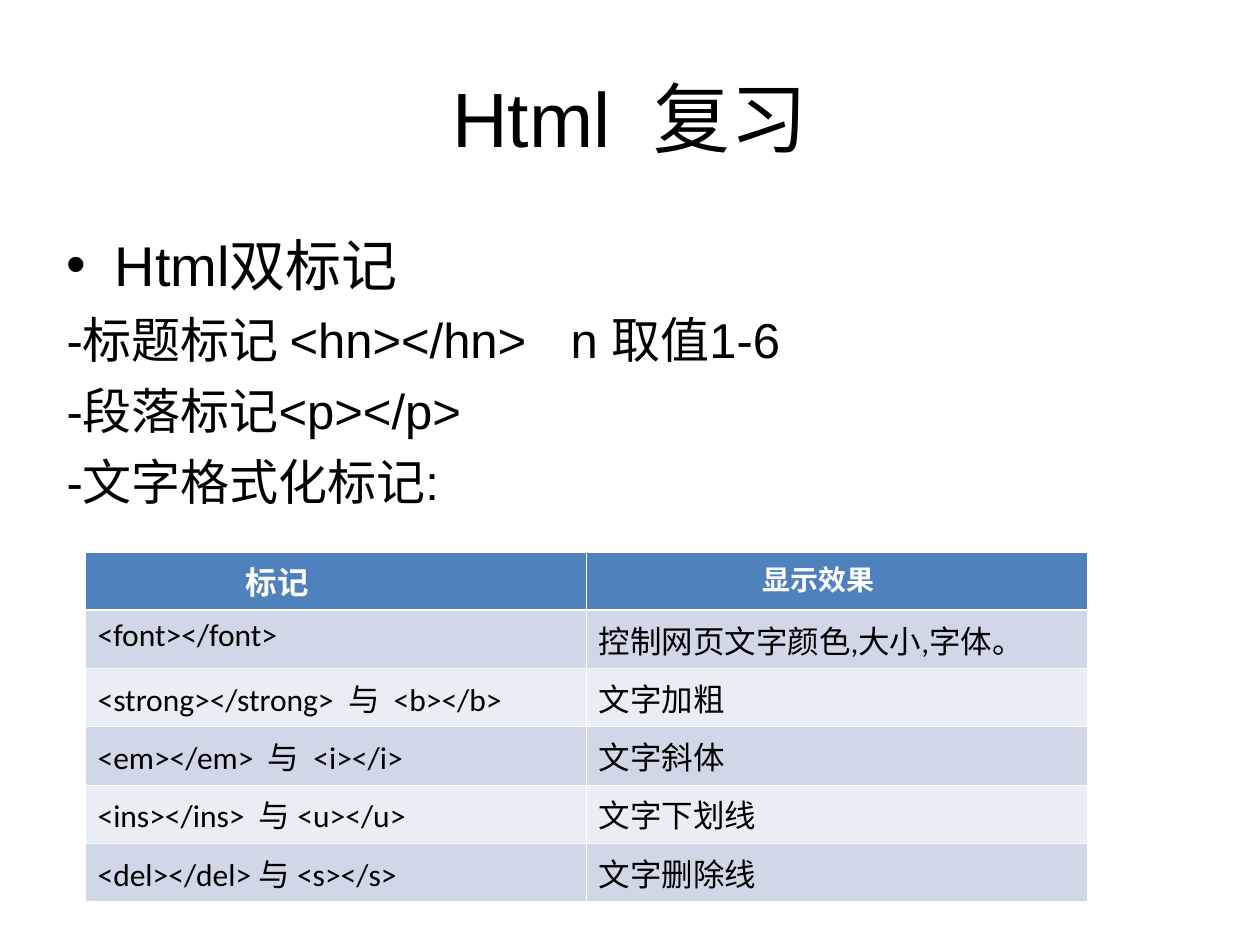
"""Build the HTML review slide with a list of tags and a table of their effects."""
from dataclasses import dataclass

from lxml import etree
from pptx import Presentation
from pptx.dml.color import RGBColor
from pptx.enum.text import MSO_ANCHOR, MSO_AUTO_SIZE, PP_ALIGN
from pptx.oxml.ns import qn
from pptx.util import Emu, Pt

MIDDLE, TOP = MSO_ANCHOR.MIDDLE, MSO_ANCHOR.TOP
CENTER, LEFT = PP_ALIGN.CENTER, PP_ALIGN.LEFT
NO_AUTOFIT = MSO_AUTO_SIZE.NONE
EMU_PER_PIXEL = 914400 / 126
COLORS = {
    "text": "000000",
    "paper": "FFFFFF",
    "header": "4F81BD",
    "odd_row": "D0D8E8",
    "even_row": "E9EDF4",
}
THIN, THICK = 0.45, 1.47


@dataclass(frozen=True)
class ListLine:
    text: str
    size: int
    before: int
    hanging: int = 0
    tab_stop: int = 0


@dataclass(frozen=True)
class Heading:
    text: str
    size: int
    margin: int


LINES = [
    ListLine("Html双标记", 32, 8, hanging=48),
    ListLine("-标题标记 <hn></hn>\tn 取值1-6", 28, 7, tab_stop=538),
    ListLine("-段落标记<p></p>", 28, 7),
    ListLine("-文字格式化标记:", 28, 7),
]
HEADINGS = [Heading("标记", 18, 161), Heading("显示效果", 16, 177)]
EFFECTS = [
    ("<font></font>", "控制网页文字颜色,大小,字体。".replace(",", ",")),
    ("<strong></strong>  与  <b></b>", "文字加粗"),
    ("<em></em>  与  <i></i>", "文字斜体"),
    ("<ins></ins>  与 <u></u>", "文字下划线"),
    ("<del></del> 与 <s></s>", "文字删除线"),
]


def px(pixels: float) -> Emu:
    """Convert pixels to EMU."""
    return Emu(round(pixels * EMU_PER_PIXEL))


def place(part, left: int, top: int, width: int, height: int) -> None:
    """Set the position and size of a slide part."""
    part.left, part.top = px(left), px(top)
    part.width, part.height = px(width), px(height)


def style_runs(paragraph, font: str, size: int, color: str, bold: bool = False) -> None:
    """Format every run of a paragraph."""
    for run in paragraph.runs:
        run.font.name, run.font.size, run.font.bold = font, Pt(size), bold
        run.font.color.rgb = RGBColor.from_string(COLORS[color])


def format_line(paragraph, line: ListLine) -> None:
    """Format one list line with its indent, bullet and tab stop."""
    paragraph.alignment = LEFT
    paragraph.space_before = Pt(line.before)
    style_runs(paragraph, "Arial", line.size, "text")
    properties = paragraph._p.get_or_add_pPr()
    properties.set("marL", str(px(line.hanging)))
    properties.set("indent", str(px(-line.hanging)))
    if line.hanging:
        etree.SubElement(properties, qn("a:buChar"), char="•")
    else:
        etree.SubElement(properties, qn("a:buNone"))
    if line.tab_stop:
        stops = etree.SubElement(properties, qn("a:tabLst"))
        etree.SubElement(stops, qn("a:tab"), pos=str(px(line.tab_stop)), algn="l")


def add_borders(cell, top: float, bottom: float) -> None:
    """Give a cell white borders."""
    properties = cell._tc.get_or_add_tcPr()
    widths = {"lnL": THIN, "lnR": THIN, "lnT": top, "lnB": bottom}
    for position, (side, width) in enumerate(widths.items()):
        border = etree.Element(qn(f"a:{side}"), w=str(Pt(width)))
        fill = etree.SubElement(border, qn("a:solidFill"))
        etree.SubElement(fill, qn("a:srgbClr"), val=COLORS["paper"])
        properties.insert(position, border)


def fill_cell(cell, text: str, fill: str, size: int, header: bool = False) -> None:
    """Write and format one table cell."""
    cell.text_frame.text = text
    style_runs(cell.text_frame.paragraphs[0], "Calibri", size,
               "paper" if header else "text", header)
    cell.fill.solid()
    cell.fill.fore_color.rgb = RGBColor.from_string(COLORS[fill])


def add_effects_table(slide) -> None:
    """Add the table of tags and their effects."""
    row_count = len(EFFECTS) + 1
    table = slide.shapes.add_table(
        row_count, len(HEADINGS), px(85), px(552), px(1002), px(51 * row_count)
    ).table
    for column, heading in enumerate(HEADINGS):
        cell = table.cell(0, column)
        fill_cell(cell, heading.text, "header", heading.size, header=True)
        cell.margin_left = px(heading.margin)
        add_borders(cell, THIN, THICK)
    for row, effect in enumerate(EFFECTS, start=1):
        for column, text in enumerate(effect):
            cell = table.cell(row, column)
            fill_cell(cell, text, "odd_row" if row % 2 else "even_row", 18)
            add_borders(cell, THICK if row == 1 else THIN, THIN)


def main() -> None:
    """Build and save the presentation."""
    deck = Presentation()
    deck.slide_width, deck.slide_height = px(1260), px(945)
    slide = deck.slides.add_slide(deck.slide_layouts[1])

    title = slide.shapes.title
    place(title, 63, 38, 1134, 157)
    title.text_frame.text = "Html  复习"
    title.text_frame.auto_size = NO_AUTOFIT
    title.text_frame.vertical_anchor = MIDDLE
    title.text_frame.paragraphs[0].alignment = CENTER
    style_runs(title.text_frame.paragraphs[0], "Arial", 44, "text")

    tag_list = slide.placeholders[1]
    place(tag_list, 54, 224, 1134, 624)
    tag_list.text_frame.text = "\n".join(line.text for line in LINES)
    tag_list.text_frame.auto_size = NO_AUTOFIT
    tag_list.text_frame.vertical_anchor = TOP
    for paragraph, line in zip(tag_list.text_frame.paragraphs, LINES):
        format_line(paragraph, line)

    add_effects_table(slide)
    deck.save("out.pptx")


main()
